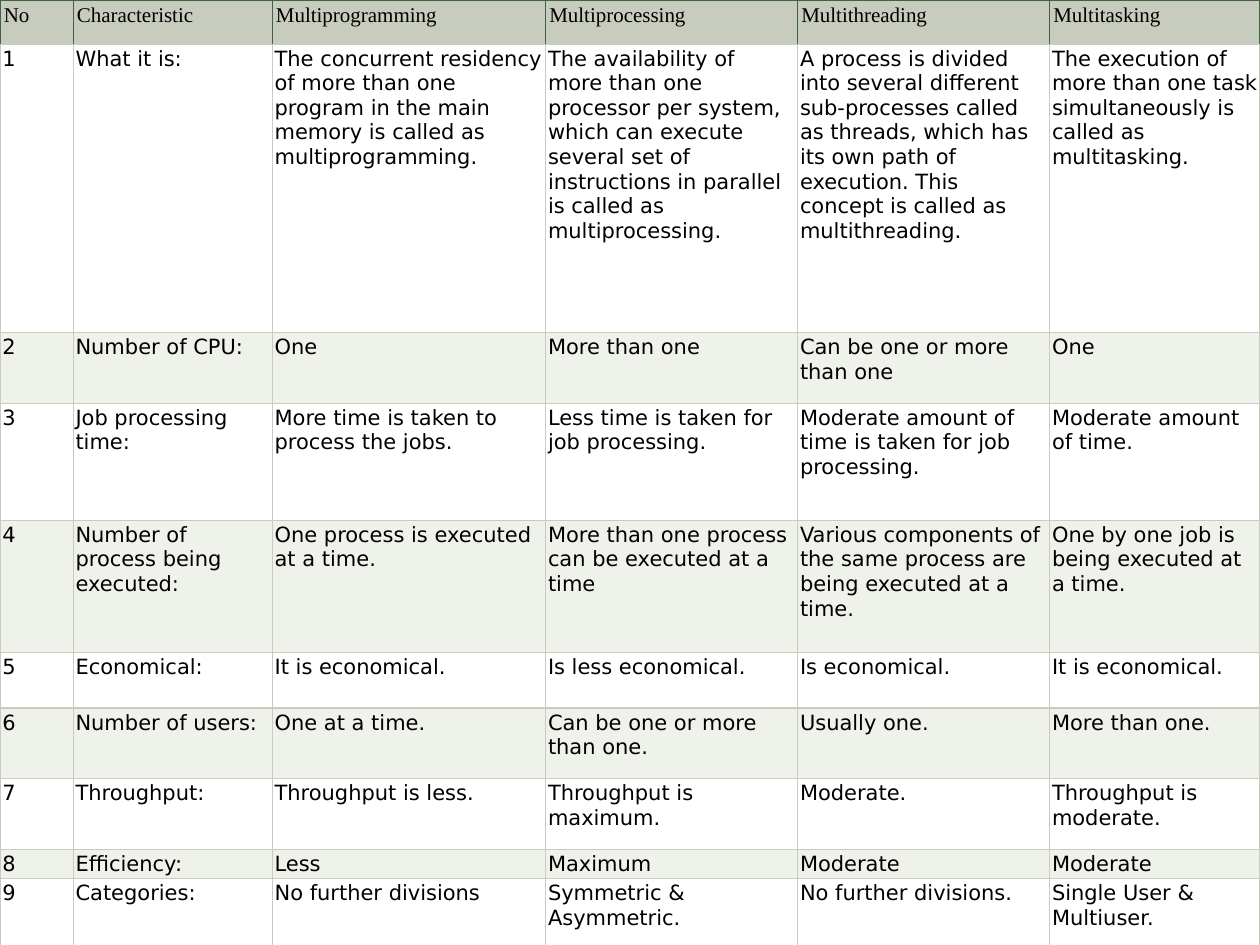
"""Build a slide with a table comparing four ways of sharing a computer."""
from dataclasses import dataclass

from lxml import etree
from pptx import Presentation
from pptx.dml.color import RGBColor
from pptx.enum.text import MSO_ANCHOR, PP_ALIGN
from pptx.oxml.ns import qn
from pptx.util import Inches, Pt

TOP = MSO_ANCHOR.TOP
LEFT = PP_ALIGN.LEFT

HEADINGS = ("No", "Characteristic", "Multiprogramming", "Multiprocessing",
            "Multithreading", "Multitasking")
TRAITS = [
    ("What it is:",
     "The concurrent residency of more than one program in the main memory "
     "is called as multiprogramming.",
     "The availability of more than one processor per system, which can execute "
     "several set of instructions in parallel is called as multiprocessing.",
     "A process is divided into several different sub-processes called as threads, "
     "which has its own path of execution. This concept is called as multithreading.",
     "The execution of more than one task simultaneously is called as multitasking."),
    ("Number of CPU:", "One", "More than one", "Can be one or more than one", "One"),
    ("Job processing time:", "More time is taken to process the jobs.",
     "Less time is taken for job processing.",
     "Moderate amount of time is taken for job processing.",
     "Moderate amount of time."),
    ("Number of process being executed:", "One process is executed at a time.",
     "More than one process can be executed at a time",
     "Various components of the same process are being executed at a time.",
     "One by one job is being executed at a time."),
    ("Economical:", "It is economical.", "Is less economical.", "Is economical.",
     "It is economical."),
    ("Number of users:", "One at a time.", "Can be one or more than one.",
     "Usually one.", "More than one."),
    ("Throughput:", "Throughput is less.", "Throughput is maximum.", "Moderate.",
     "Throughput is moderate."),
    ("Efficiency:", "Less", "Maximum", "Moderate", "Moderate"),
    ("Categories:", "No further divisions", "Symmetric & Asymmetric.",
     "No further divisions.", "Single User & Multiuser."),
]
COLUMN_WIDTHS = (0.58, 1.58, 2.17, 2, 2, 1.67)
ROW_HEIGHTS = (0.35, 2.29, 0.56, 0.93, 1.05, 0.44, 0.56, 0.56, 0.19, 0.56)


@dataclass(frozen=True)
class Theme:
    """Colours, fonts and sizes of the slide."""
    ink: str = "000000"
    header_fill: str = "C7CCBE"
    header_line: str = "406340"
    grid_line: str = "C7CCBE"
    bands: tuple = ("FFFFFF", "EFF1EB")
    header_font: str = "Times New Roman"
    body_font: str = "DejaVu Sans"
    text_size: float = 12
    line_width: float = 0.75


THEME = Theme()


def write_text(cell, text, *, font, margin, size=THEME.text_size, colour=THEME.ink):
    """Write one left-aligned paragraph at the top of a cell."""
    cell.margin_left = cell.margin_right = Inches(margin)
    cell.margin_top = cell.margin_bottom = Inches(margin)
    cell.vertical_anchor = TOP
    para = cell.text_frame.paragraphs[0]
    para.alignment = LEFT
    span = para.add_run()
    span.text = text
    span.font.name = font
    span.font.size = Pt(size)
    span.font.bold = False
    span.font.color.rgb = RGBColor.from_string(colour)


def draw_borders(cell, colours):
    """Draw the left, right, top and bottom borders of a cell."""
    properties = cell._tc.get_or_add_tcPr()
    for index, (side, colour) in enumerate(zip("LRTB", colours)):
        line = etree.Element(qn(f"a:ln{side}"), w=str(Pt(THEME.line_width)))
        fill = etree.SubElement(line, qn("a:solidFill"))
        etree.SubElement(fill, qn("a:srgbClr"), val=colour)
        properties.insert(index, line)


def style_cell(cell, fill, borders):
    """Fill a cell and draw its borders."""
    cell.fill.solid()
    cell.fill.fore_color.rgb = RGBColor.from_string(fill)
    draw_borders(cell, borders)


def build_table(page):
    """Add the comparison table across the whole page."""
    rows = [HEADINGS] + [(str(number), *trait) for number, trait in enumerate(TRAITS, 1)]
    frame = page.shapes.add_table(len(rows), len(HEADINGS), 0, 0,
                                  Inches(sum(COLUMN_WIDTHS)), Inches(sum(ROW_HEIGHTS)))
    table = frame.table
    for column, width in zip(table.columns, COLUMN_WIDTHS):
        column.width = Inches(width)
    for row, height in zip(table.rows, ROW_HEIGHTS):
        row.height = Inches(height)

    header_borders = [THEME.header_line] * 3 + [THEME.grid_line]
    body_borders = [THEME.grid_line] * 4
    for row_index, texts in enumerate(rows):
        is_header = row_index == 0
        fill = THEME.header_fill if is_header else THEME.bands[(row_index - 1) % 2]
        font = THEME.header_font if is_header else THEME.body_font
        for column_index, text in enumerate(texts):
            cell = table.cell(row_index, column_index)
            write_text(cell, text, font=font, margin=0.03 if is_header else 0.02)
            style_cell(cell, fill, header_borders if is_header else body_borders)


deck = Presentation()
deck.slide_width, deck.slide_height = Inches(10), Inches(7.5)
build_table(deck.slides.add_slide(deck.slide_layouts[6]))
deck.save("out.pptx")
